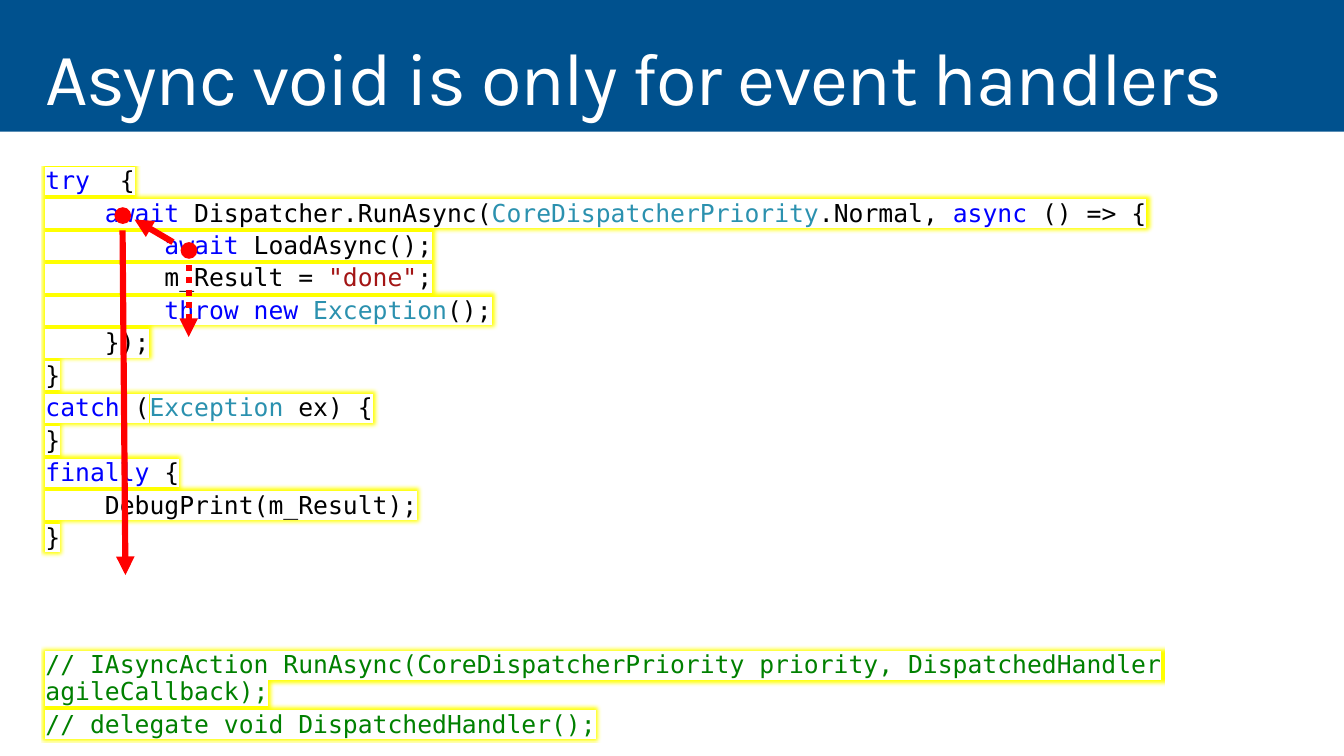
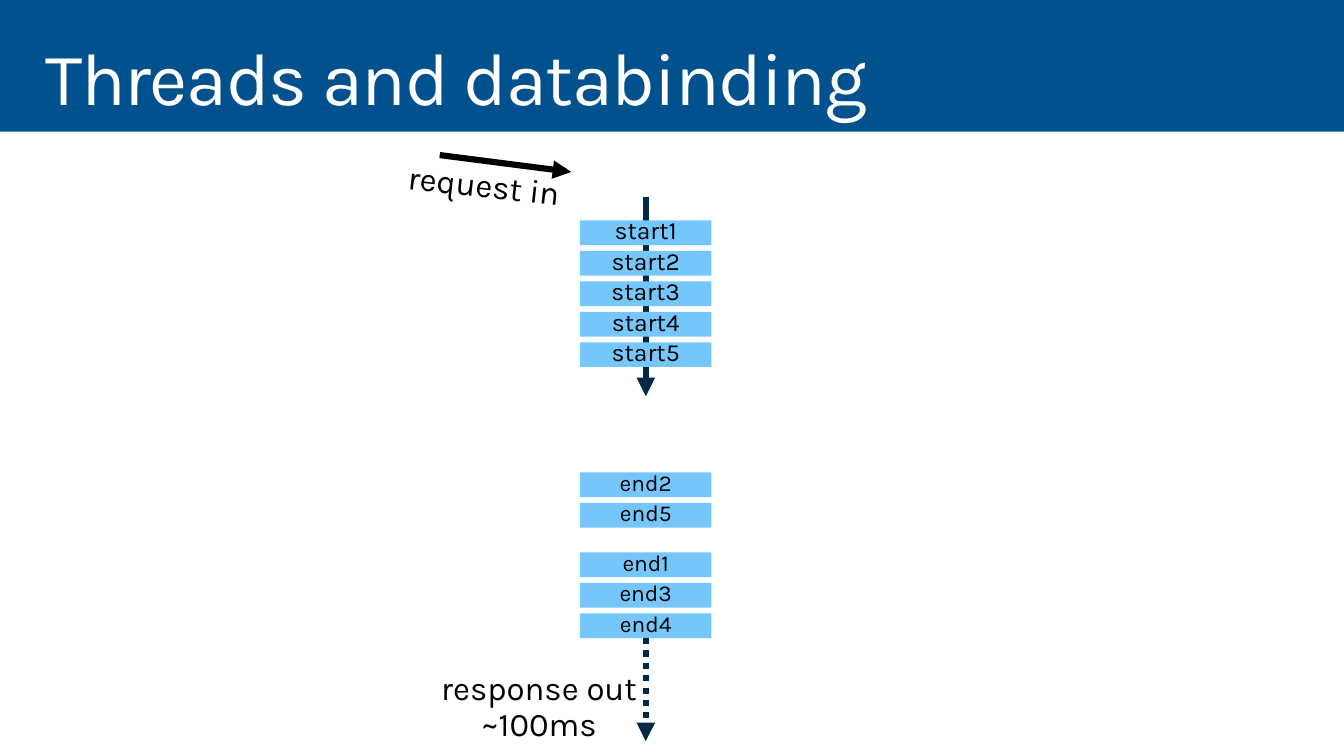
from dataclasses import dataclass

from lxml import etree
from pptx import Presentation
from pptx.dml.color import RGBColor
from pptx.enum.dml import MSO_LINE
from pptx.enum.shapes import MSO_CONNECTOR, MSO_SHAPE
from pptx.enum.text import MSO_ANCHOR, MSO_AUTO_SIZE, PP_ALIGN
from pptx.oxml.ns import qn
from pptx.util import Pt

STRAIGHT = MSO_CONNECTOR.STRAIGHT
RECTANGLE, OVAL = MSO_SHAPE.RECTANGLE, MSO_SHAPE.OVAL
TOP, MIDDLE = MSO_ANCHOR.TOP, MSO_ANCHOR.MIDDLE
LEFT, CENTER = PP_ALIGN.LEFT, PP_ALIGN.CENTER
DOTTED = MSO_LINE.ROUND_DOT
NO_AUTOFIT = MSO_AUTO_SIZE.NONE
BOTTOM_SITE = 2


@dataclass(frozen=True)
class Theme:
    banner: str = "00518E"
    paper: str = "FFFFFF"
    ink: str = "000000"
    keyword: str = "0000FF"
    type_name: str = "2B91AF"
    string: str = "A31515"
    comment: str = "008000"
    glow: str = "FFFF00"
    flow: str = "FF0000"
    thread: str = "002847"
    task: str = "75C7FB"
    text_font: str = "Karla"
    code_font: str = "DejaVu Sans Mono"
    title_size: float = 54
    label_size: float = 24
    code_size: float = 18
    start_size: float = 18
    end_size: float = 16.6
    line_width: float = 4.5
    glow_radius: float = 8


THEME = Theme()
WIDTH, HEIGHT = 979.2, 550.8
BANNER_HEIGHT = 95.8
MARGIN, CONTENT_WIDTH = 21.6, 936
CODE_GAP, COMMENT_GAP = 4.2, 73.4
TASK_LEFT, TASK_WIDTH, TASK_HEIGHT, TASK_STEP = 422.6, 95.8, 18, 22.2
THREAD_X = TASK_LEFT + TASK_WIDTH / 2
DOT = 12.2

PLAIN, KEYWORD, TYPE = THEME.ink, THEME.keyword, THEME.type_name
STRING, COMMENT = THEME.string, THEME.comment

TRY_CODE = [
    [("try", KEYWORD), ("  {", PLAIN)],
    [("    ", PLAIN), ("await", KEYWORD), (" Dispatcher.RunAsync(", PLAIN),
     ("CoreDispatcherPriority", TYPE), (".Normal, ", PLAIN),
     ("async", KEYWORD), (" () => {", PLAIN)],
    [("        ", PLAIN), ("await", KEYWORD), (" LoadAsync();", PLAIN)],
    [("        m_Result = ", PLAIN), ('"done"', STRING), (";", PLAIN)],
    [("        ", PLAIN), ("throw", KEYWORD), (" ", PLAIN), ("new", KEYWORD),
     (" ", PLAIN), ("Exception", TYPE), ("();", PLAIN)],
    [("    });", PLAIN)],
    [("}", PLAIN)],
    [("catch", KEYWORD), (" (", PLAIN), ("Exception", TYPE), (" ex) {", PLAIN)],
    [("}", PLAIN)],
    [("finally ", KEYWORD), ("{", PLAIN)],
    [("    DebugPrint(m_Result);", PLAIN)],
    [("}", PLAIN)],
]
SIGNATURES = [
    [("// IAsyncAction RunAsync(CoreDispatcherPriority priority, "
      "DispatchedHandler agileCallback);", COMMENT)],
    [("// delegate void DispatchedHandler();", COMMENT)],
]


def rgb(color):
    return RGBColor.from_string(color)


def place(shape, left, top, width, height):
    shape.left, shape.top = Pt(left), Pt(top)
    shape.width, shape.height = Pt(width), Pt(height)


def set_frame(frame, side=0, edge=0, wrap=True, anchor=MIDDLE):
    frame.margin_left = frame.margin_right = Pt(side)
    frame.margin_top = frame.margin_bottom = Pt(edge)
    frame.word_wrap = wrap
    frame.auto_size = NO_AUTOFIT
    frame.vertical_anchor = anchor


def add_run(paragraph, text, size, color=THEME.ink, font=THEME.text_font):
    run = paragraph.add_run()
    run.text = text
    run.font.size = Pt(size)
    run.font.name = font
    run.font.color.rgb = rgb(color)
    return run


def add_color(parent, color):
    etree.SubElement(parent, qn("a:srgbClr"), val=color)


def add_code_run(paragraph, text, color):
    run = add_run(paragraph, text, THEME.code_size, color, THEME.code_font)
    properties = run.font.fill._xPr
    effects = etree.Element(qn("a:effectLst"))
    glow = etree.SubElement(effects, qn("a:glow"), rad=str(Pt(THEME.glow_radius)))
    add_color(glow, THEME.glow)
    highlight = etree.Element(qn("a:highlight"))
    add_color(highlight, THEME.paper)
    properties.find(qn("a:solidFill")).addnext(effects)
    effects.addnext(highlight)


def add_code_line(paragraph, pieces, gap):
    properties = paragraph._p.get_or_add_pPr()
    properties.set("marL", "0")
    properties.set("indent", "0")
    etree.SubElement(properties, qn("a:buNone"))
    paragraph.alignment = LEFT
    paragraph.line_spacing = 0.9
    paragraph.space_before = Pt(gap)
    for text, color in pieces:
        add_code_run(paragraph, text, color)


def fill_code(body):
    top = 115.4
    place(body, MARGIN, top, CONTENT_WIDTH, 534.2 - top)
    frame = body.text_frame
    set_frame(frame, 11.5, 7.2, anchor=TOP)
    for index, pieces in enumerate(TRY_CODE + SIGNATURES):
        paragraph = frame.add_paragraph() if index else frame.paragraphs[0]
        gap = COMMENT_GAP if index == len(TRY_CODE) else CODE_GAP
        add_code_line(paragraph, pieces, gap if index else 0)


def add_solid(shapes, kind, box, color):
    shape = shapes.add_shape(kind, *map(Pt, box))
    shape.shadow.inherit = False
    shape.fill.solid()
    shape.fill.fore_color.rgb = rgb(color)
    shape.line.fill.background()
    return shape


def add_dot(shapes, left, top):
    add_solid(shapes, OVAL, (left, top, DOT, DOT), THEME.flow)


def add_arrow(shapes, start, end, color, dotted=False):
    arrow = shapes.add_connector(STRAIGHT, *map(Pt, start + end))
    arrow.line.width = Pt(THEME.line_width)
    arrow.line.color.rgb = rgb(color)
    if dotted:
        arrow.line.dash_style = DOTTED
    etree.SubElement(arrow.line._get_or_add_ln(), qn("a:tailEnd"), type="triangle")
    properties = arrow.element.find(qn("p:spPr"))
    etree.SubElement(properties, qn("a:effectLst"))
    return arrow


def write_lines(frame, lines, size, spacing):
    set_frame(frame, wrap=False)
    paragraph = frame.paragraphs[0]
    paragraph.alignment = CENTER
    paragraph.line_spacing = spacing
    paragraph.space_after = Pt(6)
    for index, line in enumerate(lines):
        if index:
            paragraph.add_line_break()
        add_run(paragraph, line, size)


def add_label(shapes, box, *lines, rotation=0):
    label = shapes.add_textbox(*map(Pt, box))
    label.rotation = rotation
    write_lines(label.text_frame, lines, THEME.label_size, 0.9)


def add_tasks(shapes, names, top, size):
    for row, name in enumerate(names):
        box = (TASK_LEFT, top + row * TASK_STEP, TASK_WIDTH, TASK_HEIGHT)
        task = add_solid(shapes, RECTANGLE, box, THEME.task)
        write_lines(task.text_frame, [name], size, 0.8)
    return task


def add_titled_slide(deck, layout, text):
    slide = deck.slides.add_slide(deck.slide_layouts.get_by_name(layout))
    title = slide.shapes.title
    place(title, MARGIN, 23, CONTENT_WIDTH, 72)
    set_frame(title.text_frame, 11.5, 7.2, anchor=TOP)
    paragraph = title.text_frame.paragraphs[0]
    paragraph.alignment = LEFT
    paragraph.line_spacing = 0.9
    run = add_run(paragraph, text, THEME.title_size, THEME.paper)
    run.font.fill._xPr.set("spc", "-100")
    return slide


def style_master(master, slide):
    master.background.fill.solid()
    master.background.fill.fore_color.rgb = rgb(THEME.banner)
    box = (0, BANNER_HEIGHT, WIDTH, HEIGHT - BANNER_HEIGHT)
    paper = add_solid(slide.shapes, RECTANGLE, box, THEME.paper)
    master.shapes.element.insert(2, paper.element)


def draw_async_void(slide):
    shapes = slide.shapes
    fill_code(slide.placeholders[1])
    add_arrow(shapes, (137.5, 193), (137.5, 245.5), THEME.flow, dotted=True)
    resume = shapes.add_group_shape().shapes
    add_arrow(resume, (126, 176.4), (98, 160), THEME.flow)
    add_dot(resume, 83.4, 151)
    add_arrow(shapes, (89.3, 167.8), (91.4, 419), THEME.flow)
    add_dot(shapes, 131.6, 176.4)


def draw_databinding(slide):
    shapes = slide.shapes
    add_arrow(shapes, (THREAD_X, 143.3), (THREAD_X, 288.7), THEME.thread)
    add_tasks(shapes, [f"start{n}" for n in range(1, 6)], 160.6, THEME.start_size)
    add_tasks(shapes, ["end2", "end5"], 344.2, THEME.end_size)
    last = add_tasks(shapes, ["end1", "end3", "end4"], 402.5, THEME.end_size)

    request = shapes.add_group_shape().shapes
    add_arrow(request, (320.4, 113), (416.2, 125.3), THEME.ink)
    add_label(request, (297.4, 123.1, 110.2, 26.6), "request in", rotation=6.3)

    response = shapes.add_group_shape().shapes
    add_label(response, (320.4, 491, 144.7, 49), "response out", "~100ms")
    reply = add_arrow(response, (THREAD_X, 464.9), (THREAD_X, 540),
                      THEME.thread, dotted=True)
    reply.begin_connect(last, BOTTOM_SITE)


def main():
    deck = Presentation()
    deck.slide_width, deck.slide_height = Pt(WIDTH), Pt(HEIGHT)
    async_void = add_titled_slide(deck, "Title and Content",
                                  "Async void is only for event handlers")
    style_master(deck.slide_master, async_void)
    draw_async_void(async_void)
    draw_databinding(add_titled_slide(deck, "Title Only", "Threads and databinding"))
    deck.save("out.pptx")


if __name__ == "__main__":
    main()
